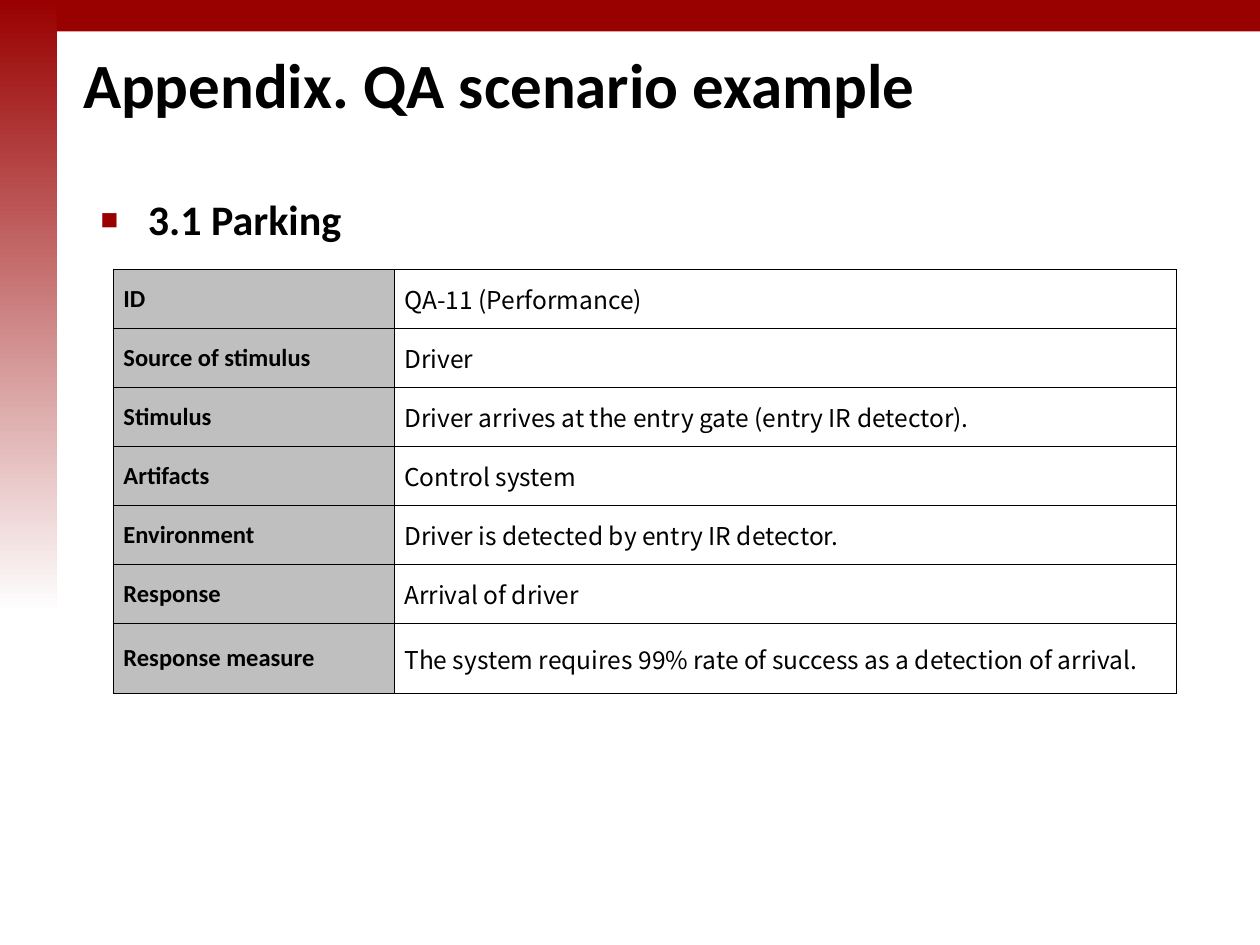
from lxml.etree import SubElement
from pptx import Presentation
from pptx.dml.color import RGBColor
from pptx.enum.shapes import MSO_SHAPE as Shape
from pptx.enum.text import MSO_ANCHOR as Anchor
from pptx.oxml import parse_xml
from pptx.oxml.ns import nsdecls, qn
from pptx.util import Pt

TITLE = "Appendix. QA scenario example"
HEADING = "3.1 Parking"
SCENARIO = [
    ("ID", "QA-11 (Performance)"),
    ("Source of stimulus", "Driver"),
    ("Stimulus", "Driver arrives at the entry gate (entry IR detector)."),
    ("Artifacts", "Control system"),
    ("Environment", "Driver is detected by entry IR detector."),
    ("Response", "Arrival of driver"),
    ("Response measure", "The system requires 99% rate of success as a detection of arrival."),
]

RED = RGBColor(0x99, 0x00, 0x00)
WHITE = RGBColor(0xFF, 0xFF, 0xFF)
BLACK = RGBColor(0x00, 0x00, 0x00)
GREY = RGBColor(0xBF, 0xBF, 0xBF)
LABEL_FONT, VALUE_FONT = "Calibri", "Noto Sans CJK KR"

COLUMN_WIDTHS = (160.5, 447.1)
ROW_HEIGHT, LAST_ROW_HEIGHT = 33.7, 40.3
CELL_INSET = 5.76


def style(para, size, font, bold):
    for span in para.runs:
        span.font.size = Pt(size)
        span.font.name = font
        span.font.bold = bold
        span.font.color.rgb = BLACK


def add_bar(page, width, height):
    bar = page.shapes.add_shape(Shape.RECTANGLE, 0, 0, Pt(width), Pt(height))
    bar.shadow.inherit = False
    bar.line.fill.background()
    return bar


def add_text(page, area, text, size, anchor, margin, indent):
    box = page.shapes.add_textbox(*map(Pt, area))
    frame = box.text_frame
    frame.word_wrap = True
    frame.vertical_anchor = anchor
    frame.text = text
    para = frame.paragraphs[0]
    properties = para._p.get_or_add_pPr()
    properties.set("marL", str(Pt(margin)))
    properties.set("indent", str(Pt(indent)))
    style(para, size, LABEL_FONT, True)
    return properties


def add_square_bullet(properties):
    color = SubElement(properties, qn("a:buClr"))
    SubElement(color, qn("a:srgbClr"), val=str(RED))
    SubElement(properties, qn("a:buSzPct"), val="70000")
    SubElement(properties, qn("a:buFont"), typeface="Arial")
    SubElement(properties, qn("a:buChar"), char="■")


def set_borders(cell, top, bottom):
    sides = (("L", 1), ("R", 1), ("T", top), ("B", bottom))
    for index, (side, width) in enumerate(sides):
        cell._tc.get_or_add_tcPr().insert(index, parse_xml(
            f'<a:ln{side} {nsdecls("a")} w="{Pt(width)}"><a:solidFill>'
            f'<a:srgbClr val="{BLACK}"/></a:solidFill></a:ln{side}>'))


def fill_cell(cell, text, is_label):
    cell.margin_left = cell.margin_right = Pt(CELL_INSET)
    cell.margin_top = cell.margin_bottom = Pt(CELL_INSET)
    cell.vertical_anchor = Anchor.MIDDLE
    cell.text = text
    style(cell.text_frame.paragraphs[0], 14, LABEL_FONT if is_label else VALUE_FONT, is_label)
    if is_label:
        cell.fill.solid()
        cell.fill.fore_color.rgb = GREY
    else:
        cell.fill.background()


def add_scenario_table(page):
    count = len(SCENARIO)
    heights = [ROW_HEIGHT] * (count - 1) + [LAST_ROW_HEIGHT]
    table = page.shapes.add_table(
        count, 2, Pt(64.8), Pt(154), Pt(sum(COLUMN_WIDTHS)), Pt(sum(heights))).table
    table.first_row = table.horz_banding = False
    for column, width in zip(table.columns, COLUMN_WIDTHS):
        column.width = Pt(width)
    edges = [1, 1] + [0.5] * (count - 2) + [1]
    for row_index, entry in enumerate(SCENARIO):
        table.rows[row_index].height = Pt(heights[row_index])
        for column_index, text in enumerate(entry):
            cell = table.cell(row_index, column_index)
            fill_cell(cell, text, column_index == 0)
            set_borders(cell, edges[row_index], edges[row_index + 1])


def main():
    deck = Presentation()
    deck.slide_width, deck.slide_height = Pt(720), Pt(540)
    page = deck.slides.add_slide(deck.slide_layouts[6])

    top_bar = add_bar(page, 720, 18)
    top_bar.fill.solid()
    top_bar.fill.fore_color.rgb = RED

    side_bar = add_bar(page, 32.4, 350)
    side_bar.fill.gradient()
    side_bar.fill.gradient_angle = 270
    for stop, color in zip(side_bar.fill.gradient_stops, (RED, WHITE)):
        stop.color.rgb = color

    add_text(page, (31, 18, 689, 59.8), TITLE, 36, Anchor.MIDDLE, 9.4, 0)
    heading = add_text(page, (50.4, 107.3, 622, 391.7), HEADING, 24, Anchor.TOP, 27, -27)
    add_square_bullet(heading)
    add_scenario_table(page)
    deck.save("out.pptx")


if __name__ == "__main__":
    main()
